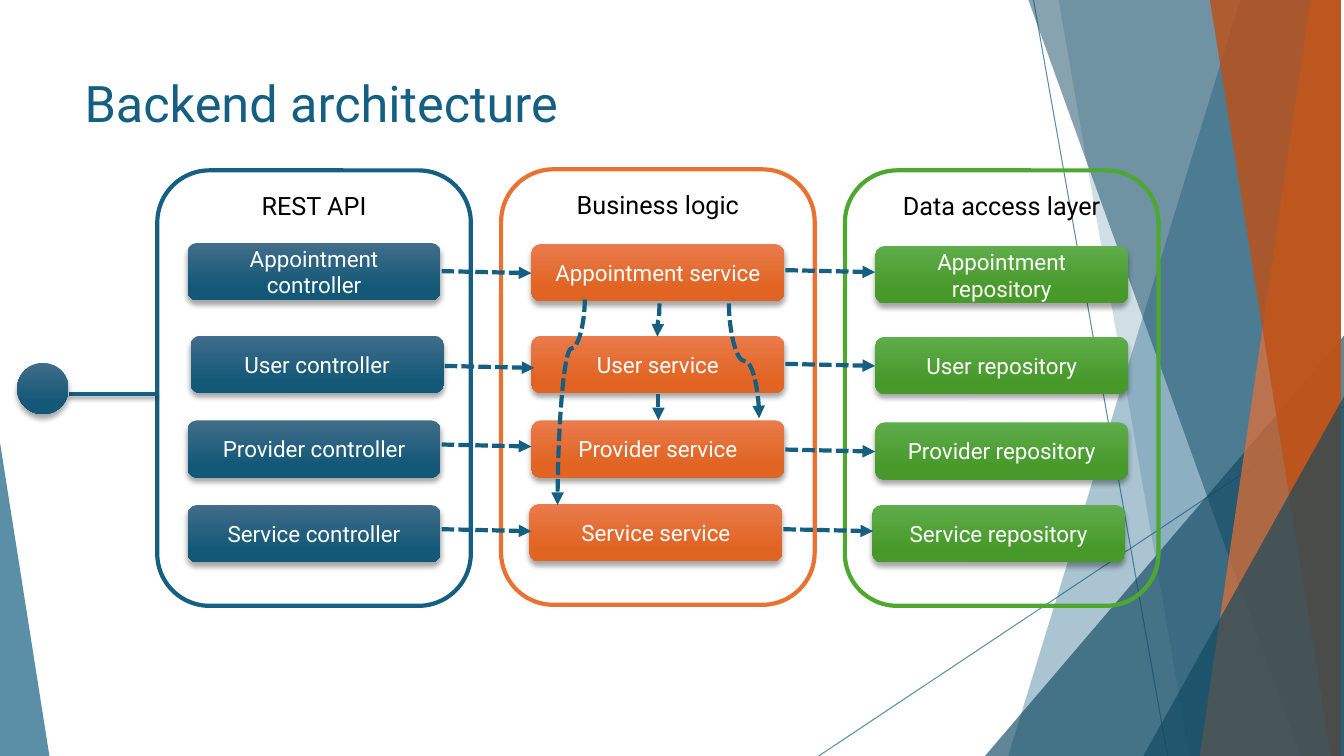
import pptx
import pptx.util
import pptx.dml.color
import pptx.enum.dml
import pptx.enum.shapes
import pptx.enum.text
import pptx.oxml
import pptx.oxml.ns
from lxml import etree

SHAPE = pptx.enum.shapes.MSO_SHAPE
LINK = pptx.enum.shapes.MSO_CONNECTOR
ALIGN = pptx.enum.text.PP_ALIGN
ANCHOR = pptx.enum.text.MSO_ANCHOR
Pt = pptx.util.Pt
qn = pptx.oxml.ns.qn

COLS, ROWS = 133.3, 75
CELL = pptx.util.Inches(0.1)
BLUE, NAVY, ORANGE, GREEN = "156082", "104862", "E97132", "4EA72E"
BLUE_FADE, ORANGE_FADE, GREEN_FADE = ("416D8A", "135877"), ("EA7B4C", "E16422"), ("5FAC4A", "47992A")
ENTITIES = ["Appointment", "User", "Provider", "Service"]
BOX_W, BOX_H = 25.1, 5.7


def grid(*cells):
    return [round(c * CELL) for c in cells]


def rgb(code):
    return pptx.dml.color.RGBColor.from_string(code)


def child(parent, tag, **attrs):
    return etree.SubElement(parent, qn(tag), {k: str(v) for k, v in attrs.items()})


def set_alpha(fill_owner, percent):
    for clr in fill_owner.iter(qn("a:srgbClr")):
        child(clr, "a:alpha", val=percent * 1000)


def add_shadow(effects, blur, dist):
    shadow = child(effects, "a:outerShdw", blurRad=Pt(blur), dist=Pt(dist), dir=5400000, rotWithShape=0)
    child(child(shadow, "a:srgbClr", val="000000"), "a:alpha", val=35000)


def write(tf, text, size, color, align, anchor):
    tf.word_wrap = True
    tf.vertical_anchor = anchor
    p = tf.paragraphs[0]
    p.alignment = align
    r = p.add_run()
    r.text = text
    r.font.size, r.font.name = Pt(size), "Roboto"
    r.font.color.rgb = rgb(color)


def flat(sp, color, alpha):
    sp.fill.solid()
    sp.fill.fore_color.rgb = rgb(color)
    set_alpha(sp._element.spPr, alpha)
    sp.line.fill.background()
    sp.shadow.inherit = False


def raised(slide, kind, box, fade):
    sp = slide.shapes.add_shape(kind, *grid(*box))
    sp.fill.gradient()
    sp.fill.gradient_angle = 270
    for stop, color, pos in zip(sp.fill.gradient_stops, fade, (0, 0.78)):
        stop.color.rgb = rgb(color)
        stop.position = pos
    sp.line.fill.background()
    sp.shadow.inherit = False
    add_shadow(sp._element.spPr.find(qn("a:effectLst")), 4, 3)
    return sp


def link(slide, start, end, kind=LINK.STRAIGHT, width=3):
    cn = slide.shapes.add_connector(kind, *grid(*start, *end))
    cn.line.color.rgb = rgb(BLUE)
    cn.line.width = Pt(width)
    child(cn._element.spPr, "a:effectLst")
    return cn


def arrow(slide, start, end, kind=LINK.STRAIGHT):
    cn = link(slide, start, end, kind)
    cn.line.dash_style = pptx.enum.dml.MSO_LINE.SQUARE_DOT
    child(cn.line._get_or_add_ln(), "a:tailEnd", type="triangle")
    return cn


def drop_arrow(slide, start, end, bend=0.5):
    (x1, y1), (x2, y2) = start, end
    cx, cy = (x1 + x2) / 2, (y1 + y2) / 2
    half_w, half_h = (y2 - y1) / 2, abs(x2 - x1) / 2
    rightward = x2 > x1
    if rightward:
        half_w = -half_w
    cn = arrow(slide, (cx - half_w, cy - half_h), (cx + half_w, cy + half_h), LINK.CURVE)
    spPr = cn._element.spPr
    spPr.find(qn("a:xfrm")).set("rot", str((270 if rightward else 90) * 60000))
    guides = spPr.find(qn("a:prstGeom")).find(qn("a:avLst"))
    child(guides, "a:gd", name="adj1", fmla=f"val {round(bend * 100000)}")


def backdrop(slide, box):
    left, top, width, height = box
    right, bottom = left + width, top + height

    def ray(start, end):
        set_alpha(link(slide, start, end, width=0.75).line._get_or_add_ln(), 70)

    def band(top_x, bottom_x, color, alpha):
        fb = slide.shapes.build_freeform(top_x, top - 0.1, scale=CELL)
        fb.add_line_segments([(right, top - 0.1), (right, bottom), (bottom_x, bottom)])
        flat(fb.convert_to_shape(), color, alpha)

    def wedge(x, w, h, apex, color, alpha):
        sp = slide.shapes.add_shape(SHAPE.ISOSCELES_TRIANGLE, *grid(x, bottom - h, w, h))
        sp.adjustments[0] = apex
        flat(sp, color, alpha)

    ray((102.5, top), (115.8, bottom))
    ray((right, 40.3), (81.2, bottom))
    band(122.8, 100.4, BLUE, 36)
    band(105, 118.3, BLUE, 20)
    wedge(right - 35.6, 35.6, 41.7, 1, NAVY, 66)
    band(102.1, 129.1, NAVY, 50)
    band(130.3, 119.2, ORANGE, 70)
    band(119.6, 131.8, "C04F15", 80)
    wedge(right - 19.9, 19.9, 35.7, 1, NAVY, 66)
    wedge(left, 4.9, 31.1, 0, BLUE, 70)


def title(slide, box, text):
    tb = slide.shapes.add_textbox(*grid(*box))
    write(tb.text_frame, text, 36, BLUE, ALIGN.LEFT, ANCHOR.TOP)


def layer(slide, box, name, noun, color, fade, offsets, filled=True):
    left, top = box[:2]
    sp = slide.shapes.add_shape(SHAPE.ROUNDED_RECTANGLE, *grid(*box))
    if filled:
        sp.fill.solid()
        sp.fill.fore_color.rgb = rgb("FFFFFF")
    else:
        sp.fill.background()
    sp.line.color.rgb = rgb(color)
    sp.line.width = Pt(3)
    sp.shadow.inherit = False
    write(sp.text_frame, name, 18, "000000", ALIGN.CENTER, ANCHOR.TOP)
    for entity, (dx, dy) in zip(ENTITIES, offsets):
        part = raised(slide, SHAPE.ROUNDED_RECTANGLE, (left + dx, top + dy, BOX_W, BOX_H), fade)
        write(part.text_frame, f"{entity} {noun}", 16, "FFFFFF", ALIGN.CENTER, ANCHOR.MIDDLE)
    return [left + dx + BOX_W for dx, dy in offsets]


def client(slide, box, edge):
    left, top, width, height = box
    y = top + 3.1
    cn = link(slide, (edge, y), (left + width, y))
    add_shadow(cn._element.spPr.find(qn("a:effectLst")), 3, 2)
    raised(slide, SHAPE.OVAL, box, BLUE_FADE)


def calls(slide, edges, heights):
    for edge, y in zip(edges, heights):
        arrow(slide, (edge + 0.1, y), (edge + 9, y + 0.2))


def service_calls(slide, box):
    left, top = box[:2]
    for x1, y1, x2, y2, bend in [
        (15.7, 13.3, 15.5, 16.6, 0.5),
        (22.6, 13.3, 25.6, 24.7, 0.5),
        (15.6, 22.3, 15.6, 24.9, 0.5),
        (8.3, 12.9, 5.6, 33.3, 0.24),
    ]:
        drop_arrow(slide, (left + x1, top + y1), (left + x2, top + y2), bend)


def main():
    prs = pptx.Presentation()
    prs.slide_width, prs.slide_height = grid(COLS, ROWS)
    slide = prs.slides.add_slide(prs.slide_layouts[6])
    api, logic, data = [(15.6 + 34.1 * i, 16.9 - 0.1 * (i == 1), 31.1, 43.2) for i in range(3)]
    backdrop(slide, (0, 0, COLS, ROWS))
    title(slide, (7.4, 6.7, 94, 14.4), "Backend architecture")
    api_edges = layer(slide, api, "REST API", "controller", BLUE, BLUE_FADE,
                      [(3, 7.2), (3.3, 16.4), (3, 24.8), (3, 33.2)])
    client(slide, (1.7, 36, 5.1, 5.1), api[0])
    logic_edges = layer(slide, logic, "Business logic", "service", ORANGE, ORANGE_FADE,
                        [(3, 7.4), (3, 16.5), (3, 24.9), (2.8, 33.2)])
    layer(slide, data, "Data access layer", "repository", GREEN, GREEN_FADE,
          [(3, 7.5), (3, 16.5), (3, 25), (2.7, 33.2)], filled=False)
    calls(slide, api_edges, [26.9, 36.3, 44.1, 52.5])
    calls(slide, logic_edges, [26.8, 36.1, 44.6, 52.5])
    service_calls(slide, logic)
    prs.save("out.pptx")


if __name__ == "__main__":
    main()
